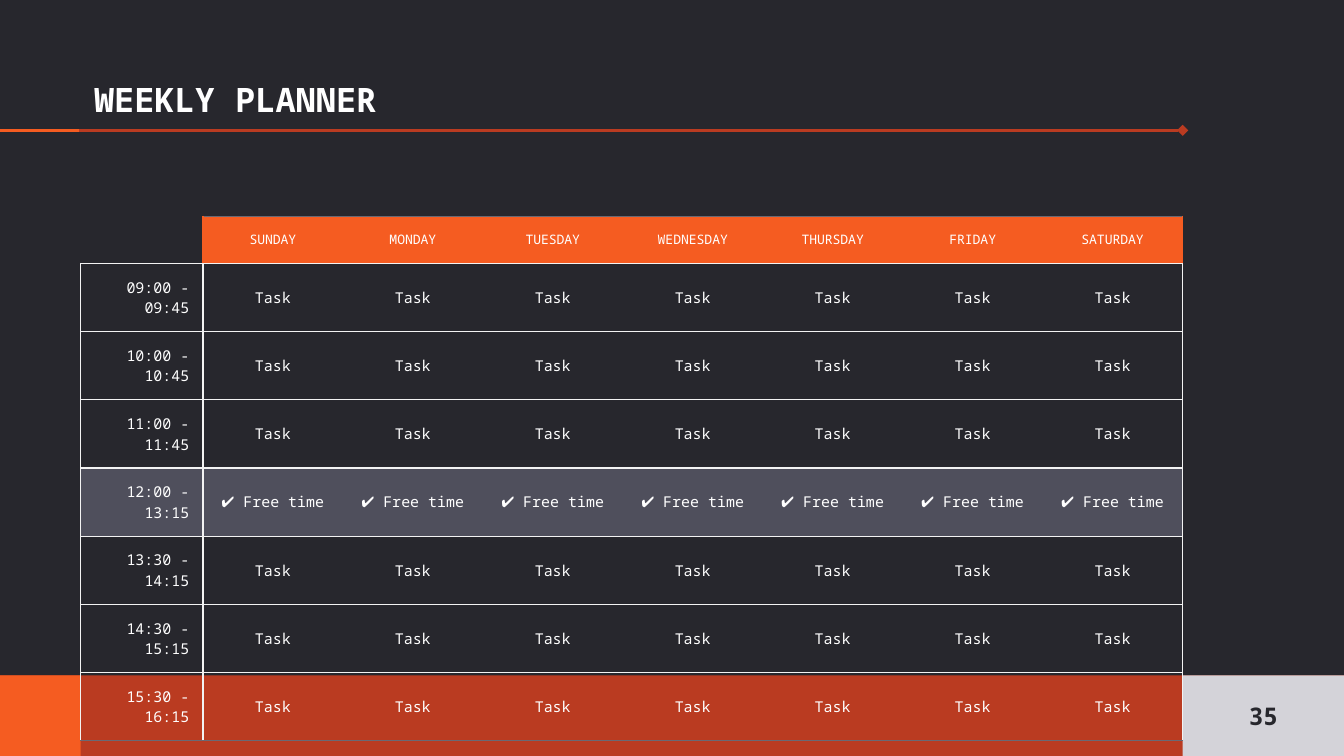
import lxml.etree
import pptx
import pptx.dml.color
import pptx.enum.shapes
import pptx.enum.text
import pptx.oxml.ns
import pptx.util

Inches = pptx.util.Inches
Pt = pptx.util.Pt
ALIGN = pptx.enum.text.PP_ALIGN
ANCHOR = pptx.enum.text.MSO_ANCHOR
qn = pptx.oxml.ns.qn

TITLE = "WEEKLY PLANNER"
PAGE_NUMBER = "35"
DAYS = ["SUNDAY", "MONDAY", "TUESDAY", "WEDNESDAY", "THURSDAY", "FRIDAY", "SATURDAY"]
BREAK = "✔ Free time"
SCHEDULE = [
    ("09:00 - 09:45", "Task"),
    ("10:00 - 10:45", "Task"),
    ("11:00 - 11:45", "Task"),
    ("12:00 - 13:15", BREAK),
    ("13:30 - 14:15", "Task"),
    ("14:30 - 15:15", "Task"),
    ("15:30 - 16:15", "Task"),
]

FONT = "Noto Sans Mono"
COLORS = {
    "background": "27272D",
    "white": "FFFFFF",
    "orange": "F55C21",
    "rust": "BA3B21",
    "light": "D4D3D9",
    "break": "4F4F5C",
    "grid": "F3F3F3",
    "edge": "696974",
}

WIDTH = 10
HEIGHT = WIDTH * 9 / 16
MARGIN, RIGHT = 0.6, 8.8
RULE_START, RULE_Y = -0.01, 0.97
FOOTER_HEIGHT = 0.6
FOOTER_TOP = HEIGHT - FOOTER_HEIGHT
TABLE_TOP = 1.61
TIME_WIDTH = 0.91
DAY_WIDTH = (RIGHT - MARGIN - TIME_WIDTH) / len(DAYS)
HEADER_HEIGHT, ROW_HEIGHT = 0.35, 0.44


def rgb(name):
    return pptx.dml.color.RGBColor.from_string(COLORS[name])


def write(frame, text, size, color, align, bold=False):
    frame.text = text
    frame.word_wrap = True
    frame.margin_left = frame.margin_right = Inches(0.1)
    frame.margin_top = frame.margin_bottom = Inches(0.1)
    para = frame.paragraphs[0]
    para.alignment = align
    for span in para.runs:
        span.font.name = FONT
        span.font.size = Pt(size)
        span.font.bold = bold
        span.font.color.rgb = rgb(color)
    if not text:  # an empty cell would otherwise be as tall as 18 pt text
        lxml.etree.SubElement(para._p, qn("a:endParaRPr"), sz=str(size * 100))


def add_block(page, left, width, color):
    block = page.shapes.add_shape(
        pptx.enum.shapes.MSO_SHAPE.RECTANGLE,
        Inches(left), Inches(FOOTER_TOP), Inches(width), Inches(FOOTER_HEIGHT))
    block.shadow.inherit = False
    block.fill.solid()
    block.fill.fore_color.rgb = rgb(color)
    block.line.fill.background()
    return block


def add_rule(page, end, color, tail=None):
    rule = page.shapes.add_connector(
        pptx.enum.shapes.MSO_CONNECTOR.STRAIGHT,
        Inches(RULE_START), Inches(RULE_Y), Inches(end), Inches(RULE_Y))
    rule.line.color.rgb = rgb(color)
    rule.line.width = Pt(1.5)
    if tail:
        lxml.etree.SubElement(rule.line._get_or_add_ln(), qn("a:tailEnd"), type=tail)
    lxml.etree.SubElement(rule._element.spPr, qn("a:effectLst"))


def set_borders(cell, **colors):
    """Draw the named sides (L, R, T, B) and hide the others."""
    properties = cell._tc.get_or_add_tcPr()
    for index, side in enumerate("LRTB"):
        line = lxml.etree.Element(qn(f"a:ln{side}"), w=str(Pt(0.75)))
        color = colors.get(side)
        if color:
            fill = lxml.etree.SubElement(line, qn("a:solidFill"))
            lxml.etree.SubElement(fill, qn("a:srgbClr"), val=COLORS[color])
        else:
            lxml.etree.SubElement(line, qn("a:noFill"))
        properties.insert(index, line)


def borders_of(row, column, last_row, last_column):
    if row == 0 and column == 0:
        return {"R": "orange", "B": "grid"}
    sides = {"T": "grid" if row else "edge",
             "B": "edge" if row == last_row else "grid"}
    vertical = "grid" if row else "orange"
    if column <= 1:
        sides["L"] = vertical
    if column in (0, last_column):
        sides["R"] = vertical
    return sides


def add_planner(page):
    rows = [[""] + DAYS] + [[time] + [entry] * len(DAYS) for time, entry in SCHEDULE]
    widths = [TIME_WIDTH] + [DAY_WIDTH] * len(DAYS)
    heights = [HEADER_HEIGHT] + [ROW_HEIGHT] * len(SCHEDULE)
    table = page.shapes.add_table(
        len(rows), len(widths), Inches(MARGIN), Inches(TABLE_TOP),
        Inches(sum(widths)), Inches(sum(heights))).table
    table.first_row = table.horz_banding = False
    for column, width in zip(table.columns, widths):
        column.width = Inches(width)
    for row, height in zip(table.rows, heights):
        row.height = Inches(height)

    for r, texts in enumerate(rows):
        for c, text in enumerate(texts):
            cell = table.cell(r, c)
            write(cell.text_frame, text, 8 if r else 7, "white",
                  ALIGN.RIGHT if r and c == 0 else ALIGN.CENTER)
            cell.vertical_anchor = ANCHOR.MIDDLE
            cell.margin_left = cell.margin_right = Inches(0.1)
            cell.margin_top = cell.margin_bottom = Inches(0.1)
            fill = "break" if texts[-1] == BREAK else "orange" if r == 0 and c else None
            if fill:
                cell.fill.solid()
                cell.fill.fore_color.rgb = rgb(fill)
            else:
                cell.fill.background()
            set_borders(cell, **borders_of(r, c, len(rows) - 1, len(widths) - 1))


def main():
    deck = pptx.Presentation()
    deck.slide_width, deck.slide_height = Inches(WIDTH), Inches(HEIGHT)
    page = deck.slides.add_slide(deck.slide_layouts[5])
    page.background.fill.solid()
    page.background.fill.fore_color.rgb = rgb("background")

    add_rule(page, RIGHT, "rust", tail="diamond")
    add_block(page, 0, WIDTH, "rust")
    add_block(page, 0, MARGIN, "orange")
    add_rule(page, MARGIN + RULE_START, "orange")

    title = page.shapes.title
    title.left, title.top = Inches(MARGIN), Inches(0.4)
    title.width, title.height = Inches(RIGHT - MARGIN), Inches(0.59)
    write(title.text_frame, TITLE, 18, "white", ALIGN.LEFT, bold=True)
    title.text_frame.vertical_anchor = ANCHOR.BOTTOM

    number = add_block(page, RIGHT, WIDTH - RIGHT, "light")
    write(number.text_frame, PAGE_NUMBER, 13, "background", ALIGN.CENTER, bold=True)
    number.text_frame.vertical_anchor = ANCHOR.MIDDLE

    add_planner(page)
    deck.save("out.pptx")


if __name__ == "__main__":
    main()
